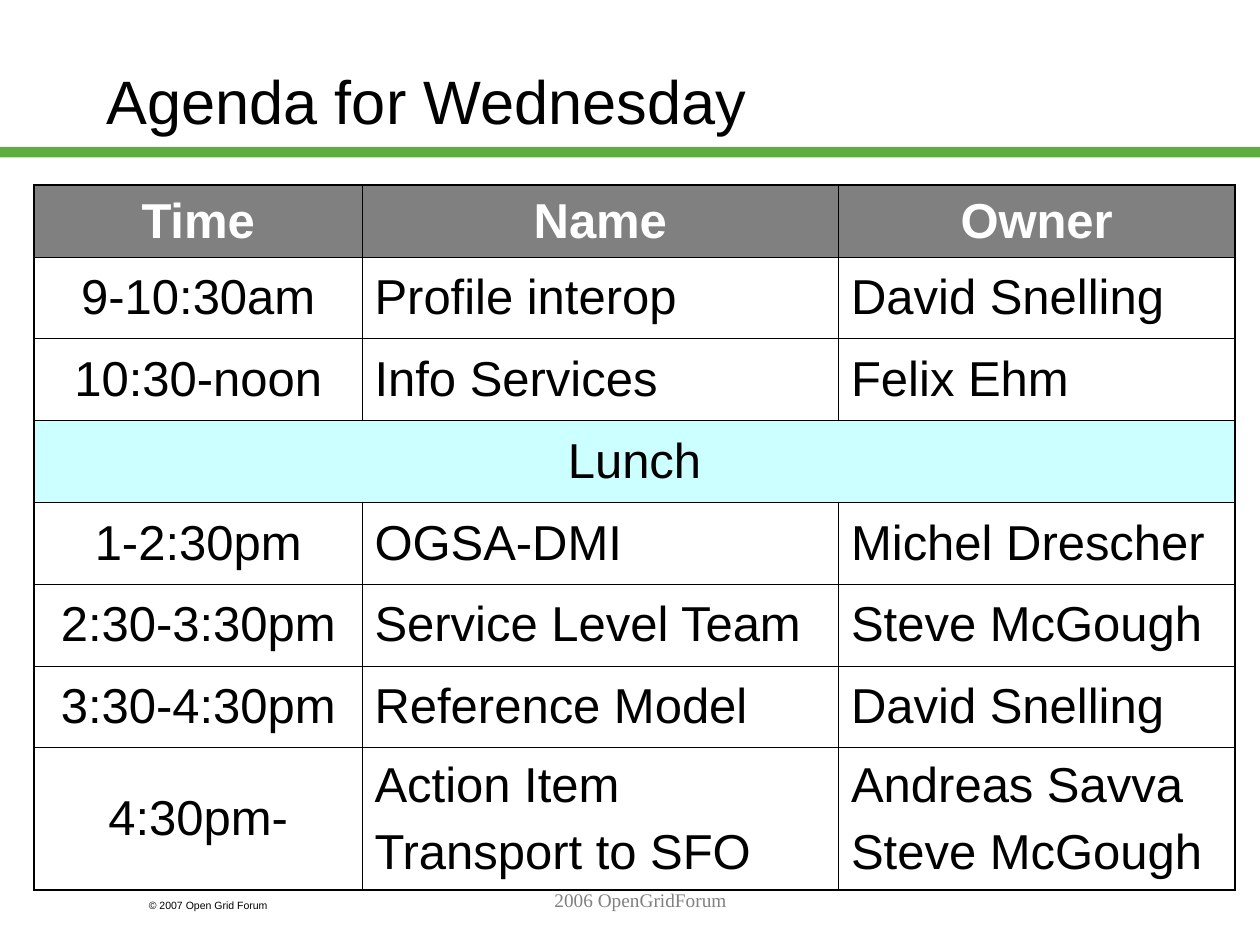
from lxml.etree import SubElement
from pptx import Presentation
from pptx.dml.color import RGBColor
from pptx.enum.shapes import MSO_SHAPE
from pptx.enum.text import MSO_ANCHOR, PP_ALIGN
from pptx.oxml.ns import qn
from pptx.util import Pt

COLORS = {"black": "000000", "white": "FFFFFF", "gray": "808080",
          "green": "5DAD41", "lunch": "CCFFFF"}
HEADERS = ["Time", "Name", "Owner"]
SESSIONS = [
    ["9-10:30am", "Profile interop", "David Snelling"],
    ["10:30-noon", "Info Services", "Felix Ehm"],
    ["Lunch"],
    ["1-2:30pm", "OGSA-DMI", "Michel Drescher"],
    ["2:30-3:30pm", "Service Level Team", "Steve McGough"],
    ["3:30-4:30pm", "Reference Model", "David Snelling"],
    ["4:30pm-", "Action Item\nTransport to SFO", "Andreas Savva\nSteve McGough"],
]
COLUMN_SHARES = [0.273, 0.397, 0.33]
HEADER_HEIGHT, LAST_HEIGHT = 41, 81
THIN, THICK = 0.45, 1.08


def rgb(name):
    """Return the named colour."""
    return RGBColor.from_string(COLORS[name])


def write_lines(frame, text, size, color="black", font="Arial", bold=False,
                align=PP_ALIGN.LEFT):
    """Write each line of text as a paragraph with one run."""
    for index, line in enumerate(text.split("\n")):
        paragraph = frame.add_paragraph() if index else frame.paragraphs[0]
        paragraph.alignment = align
        if index:
            paragraph.space_before = Pt(7)
        run = paragraph.add_run()
        run.text = line
        run.font.size, run.font.name, run.font.bold = Pt(size), font, bold
        run.font.color.rgb = rgb(color)


def add_label(slide, box, text, size, anchor=MSO_ANCHOR.TOP, **style):
    """Add a wrapping text box."""
    frame = slide.shapes.add_textbox(*map(Pt, box)).text_frame
    frame.word_wrap = True
    frame.vertical_anchor = anchor
    write_lines(frame, text, size, **style)


def add_heading(slide, left, top, width, height):
    """Place the title above a green rule at the foot of the box."""
    rule_height = 6
    add_label(slide, (left + 54, top + 12, width - 108, 90),
              "Agenda for Wednesday", 35, MSO_ANCHOR.MIDDLE)
    rule = slide.shapes.add_shape(
        MSO_SHAPE.RECTANGLE, Pt(left), Pt(top + height - rule_height),
        Pt(width), Pt(rule_height))
    rule.shadow.inherit = False
    rule.fill.solid()
    rule.fill.fore_color.rgb = rgb("green")
    rule.line.fill.background()


def set_borders(cell, widths):
    """Draw black left, right, top and bottom cell borders."""
    properties = cell._tc.get_or_add_tcPr()
    for side, width in zip("LRTB", widths):
        line = SubElement(properties, qn(f"a:ln{side}"), w=str(Pt(width)))
        fill = SubElement(line, qn("a:solidFill"))
        SubElement(fill, qn("a:srgbClr"), val=COLORS["black"])


def format_cell(cell, text, fill, borders, **style):
    """Fill, frame and label one cell."""
    set_borders(cell, borders)
    if fill:
        cell.fill.solid()
        cell.fill.fore_color.rgb = rgb(fill)
    else:
        cell.fill.background()
    cell.vertical_anchor = MSO_ANCHOR.MIDDLE
    write_lines(cell.text_frame, text, 28, **style)


def add_agenda(slide, left, top, width, height):
    """Place the agenda table in the box, merging single-entry rows."""
    rows = [HEADERS] + SESSIONS
    last_row, last_column = len(rows) - 1, len(HEADERS) - 1
    table = slide.shapes.add_table(
        len(rows), len(HEADERS), *map(Pt, (left, top, width, height))).table
    for column, share in zip(table.columns, COLUMN_SHARES):
        column.width = Pt(round(width * share, 1))
    middle = (height - HEADER_HEIGHT - LAST_HEIGHT) / (len(rows) - 2)
    heights = [HEADER_HEIGHT] + [middle] * (len(rows) - 2) + [LAST_HEIGHT]
    for row_index, texts in enumerate(rows):
        table.rows[row_index].height = Pt(heights[row_index])
        is_header, is_break = row_index == 0, len(texts) == 1
        if is_break:
            table.cell(row_index, 0).merge(table.cell(row_index, last_column))
        fill = "gray" if is_header else "lunch" if is_break else None
        for column_index, text in enumerate(texts):
            is_outer = (column_index == 0, is_break or column_index == last_column,
                        is_header, row_index == last_row)
            centered = is_header or column_index == 0
            format_cell(table.cell(row_index, column_index), text, fill,
                        [THICK if outer else THIN for outer in is_outer],
                        color="white" if is_header else "black", bold=is_header,
                        align=PP_ALIGN.CENTER if centered else PP_ALIGN.LEFT)


def add_footer(slide, left, top, width, height):
    """Place the copyright line and the centred footer in the box."""
    add_label(slide, (left + 78, top + 6, 108, 14), "© 2007 Open Grid Forum", 6)
    add_label(slide, (left + 156, top, width - 300, height), "2006 OpenGridForum",
              11, color="gray", font="Times New Roman", align=PP_ALIGN.CENTER)


def main():
    """Build and save the agenda slide."""
    presentation = Presentation()
    presentation.slide_width, presentation.slide_height = Pt(720), Pt(540)
    slide = presentation.slides.add_slide(presentation.slide_layouts[6])
    add_heading(slide, 0, 0, 720, 90)
    add_agenda(slide, 19.6, 105.8, 686, 402.5)
    add_footer(slide, 0, 504, 720, 36)
    presentation.save("out.pptx")


if __name__ == "__main__":
    main()
